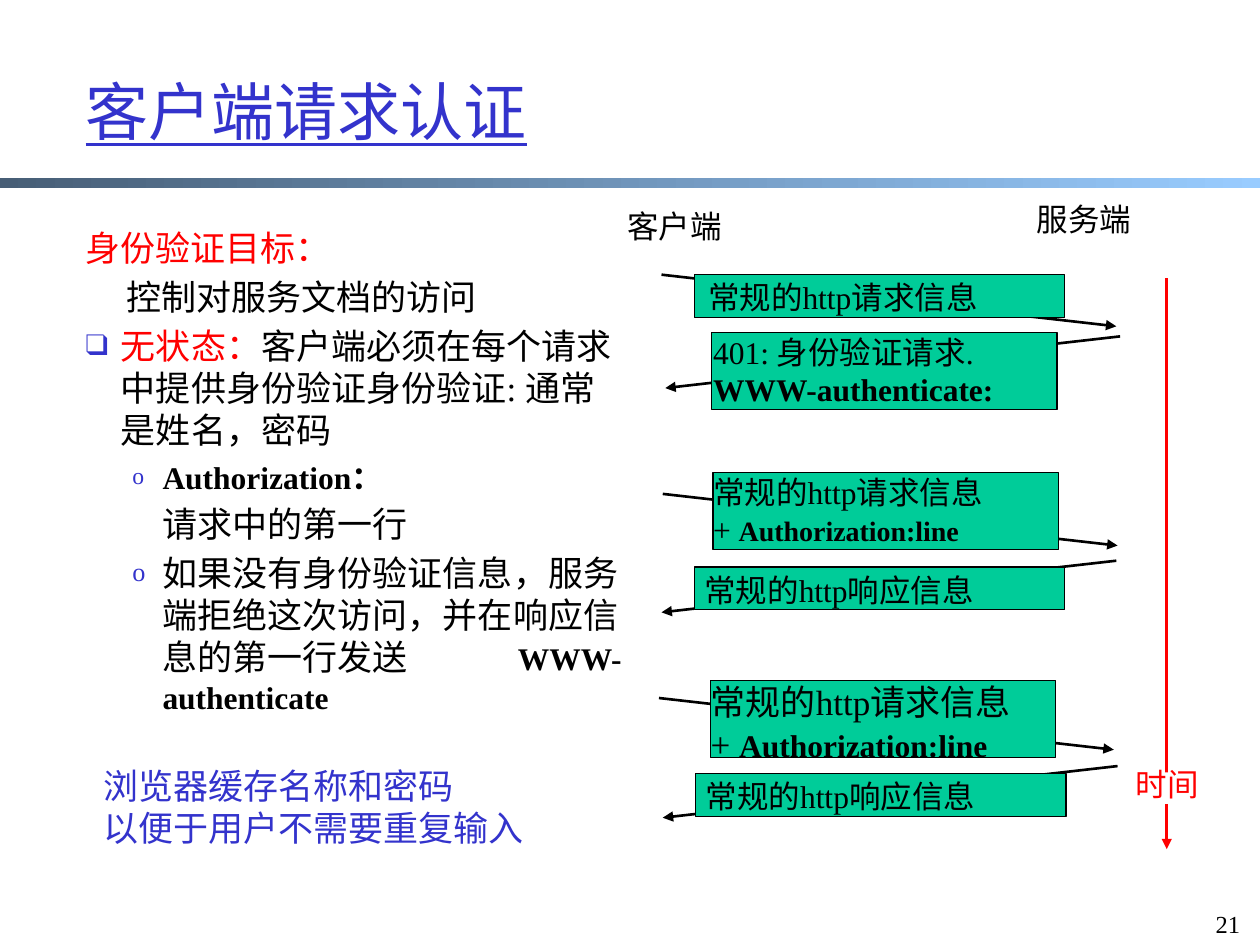
from lxml.etree import SubElement
from pptx import Presentation
from pptx.dml.color import RGBColor
from pptx.enum.shapes import MSO_CONNECTOR, MSO_SHAPE
from pptx.enum.text import MSO_ANCHOR, MSO_AUTO_SIZE, PP_ALIGN
from pptx.oxml.ns import qn
from pptx.util import Inches, Pt

HUES = {"black": "000000", "white": "FFFFFF", "blue": "3333CC", "red": "FF0000",
        "green": "00CC99", "dark": "475E76", "light": "99CCFF"}
SANS, SERIF = "Arial", "Times New Roman"
UNIT = 0.1  # the slide is a grid of 100 columns by 75 rows


def hue(name):
    return RGBColor.from_string(HUES[name])


def grid(*cells):
    return [Inches(cell * UNIT) for cell in cells]


def style(font, color="black", **look):
    font.color.rgb = hue(color)
    for key, value in look.items():
        setattr(font, key, value)


def setup(frame, pads=(1, 0.5, 1, 0.5), **look):
    sides = ("left", "top", "right", "bottom")
    values = {f"margin_{side}": pad for side, pad in zip(sides, grid(*pads))}
    values |= {"word_wrap": True, "auto_size": MSO_AUTO_SIZE.NONE,
               "vertical_anchor": MSO_ANCHOR.TOP} | look
    for key, value in values.items():
        setattr(frame, key, value)


def write(frame, lines, align=PP_ALIGN.LEFT):
    """Fill a frame; each line is a list of (text, look) runs."""
    for i, line in enumerate(lines):
        para = frame.add_paragraph() if i else frame.paragraphs[0]
        para.alignment = align
        for text, look in line:
            run = para.add_run()
            run.text = text
            style(run.font, **look)


def label(slide, box, lines, **look):
    frame = slide.shapes.add_textbox(*grid(*box)).text_frame
    setup(frame, **look)
    write(frame, lines)


def block(slide, box, fill, edge=None):
    shape = slide.shapes.add_shape(MSO_SHAPE.RECTANGLE, *grid(*box))
    shape.shadow.inherit = False
    shape.fill.solid()
    shape.fill.fore_color.rgb = hue(fill)
    if edge:
        shape.line.color.rgb = hue(edge)
        shape.line.width = Pt(0.75)
    else:
        shape.line.fill.background()
    return shape


def arrow(slide, start, end, color):
    link = slide.shapes.add_connector(MSO_CONNECTOR.STRAIGHT, *grid(*start, *end))
    link.line.color.rgb = hue(color)
    link.line.width = Pt(1.5)
    SubElement(link.line._get_or_add_ln(), qn("a:tailEnd"), type="triangle")
    SubElement(link._element.spPr, qn("a:effectLst"))


def bullet(para, left, hang, mark, size, tab):
    props = para._p.get_or_add_pPr()
    props.set("marL", str(Inches(left)))
    props.set("indent", str(Inches(-hang)))
    if mark:
        color = SubElement(props, qn("a:buClr"))
        SubElement(color, qn("a:srgbClr"), val=HUES["blue"])
        SubElement(props, qn("a:buSzPct"), val=str(size * 1000))
        SubElement(props, qn("a:buFont"), typeface=SERIF)
        SubElement(props, qn("a:buChar"), char=mark)
    else:
        SubElement(props, qn("a:buNone"))
    if tab:
        tabs = SubElement(props, qn("a:tabLst"))
        SubElement(tabs, qn("a:tab"), pos=str(Inches(tab)), algn="l")


def header(slide, box):
    x, y, wide, high = box
    # Gradient rule under the title
    bar = block(slide, (0, y + 11.6, 100, 0.8), "dark")
    bar.fill.gradient()
    bar.fill.gradient_angle = 0
    for stop, name, spot in zip(bar.fill.gradient_stops, ("dark", "light"), (0, 1)):
        stop.color.rgb = hue(name)
        stop.position = spot
    # Title
    title = slide.shapes.title
    title.left, title.top, title.width, title.height = grid(x, y, wide, high)
    setup(title.text_frame, vertical_anchor=MSO_ANCHOR.MIDDLE)
    look = dict(color="blue", name=SANS, size=Pt(36), underline=True)
    write(title.text_frame, [[("客户端请求认证", look)]])


def goals(slide, box):
    body = slide.placeholders[1]
    body.left, body.top, body.width, body.height = grid(*box)
    text = dict(name=SERIF, size=Pt(20))
    red = text | dict(color="red")
    bold = dict(name=SERIF, size=Pt(18), bold=True)
    # Level, left edge, hang, mark, mark size, tab, runs
    items = [
        (0, 0.28, 0.28, None, 0, 0, [("身份验证目标：", red)]),
        (0, 0.32, 0, None, 0, 0, [("控制对服务文档的访问", text)]),
        (0, 0.28, 0.28, "❑", 85, 0, [
            ("无状态：", red),
            ("客户端必须在每个请求中提供身份验证身份验证: 通常是姓名，密码", text)]),
        (1, 0.61, 0.24, "o", 75, 0, [("Authorization：", bold)]),
        (1, 0.61, 0, None, 0, 0, [("请求中的第一行", text)]),
        (1, 0.61, 0.24, "o", 75, 3.43, [
            ("如果没有身份验证信息，服务端拒绝这次访问，并在响应信息的第一行发送\t", text),
            ("WWW-authenticate", bold)]),
    ]
    setup(body.text_frame)
    write(body.text_frame, [item[-1] for item in items])
    for i, (para, item) in enumerate(zip(body.text_frame.paragraphs, items)):
        para.level = item[0]
        para.space_before = Pt(4 if i else 0)
        bullet(para, *item[1:-1])


def flow(slide, box):
    """Message exchange between the client and the server."""
    x, y, wide, high = box
    text = dict(name=SERIF, size=Pt(18))
    big = text | dict(size=Pt(20))
    bold = text | dict(bold=True)
    small = bold | dict(size=Pt(16))
    ask, reply = "常规的http请求信息", "常规的http响应信息"
    # Arrow left and top, to the server?, card left, top, text inset, lines
    steps = [
        (0.2, 0, True, 2.8, 0, 1.1, [[(ask, text)]]),
        (0.5, 4.9, False, 4.2, 4.6, 0.1,
         [[("401: 身份验证请求.", text)], [("WWW-authenticate:", bold)]]),
        (0.3, 17.4, True, 4.3, 15.7, 0,
         [[(ask, text)], [("+ ", text), ("Authorization:line", small)]]),
        (0.2, 22.7, False, 2.8, 23.2, 0.8, [[(reply, text)]]),
        (0, 33.6, True, 4.1, 32.2, 0,
         [[(ask, big)], [("+ ", big), ("Authorization:line", bold)]]),
        (0.3, 39, False, 2.9, 39.6, 0.8, [[(reply, text)]]),
    ]
    for dx, dy, sent, left, top, pad, lines in steps:
        near, far = x + dx, x + dx + 36.1
        ends = (near, far) if sent else (far, near)
        arrow(slide, (ends[0], y + dy), (ends[1], y + dy + 4.1), "black")
        pair = len(lines) == 2
        size = (27.4, 6.1) if pair else (29.4, 3.4)
        card = block(slide, (x + left, y + top, *size), "green", "black")
        setup(card.text_frame, pads=(pad, 0 if pair else 0.3, 0, 0))
        write(card.text_frame, lines)
    # Names of the two ends
    look = dict(name=SANS, size=Pt(18))
    for name, dx, dy in (("客户端", -3.5, -5.9), ("服务端", 29, -6.4)):
        label(slide, (x + dx, y + dy, 9.6, 4), [[(name, look)]], word_wrap=False)
    # Time axis
    axis = x + wide
    arrow(slide, (axis, y + 0.3), (axis, y + high), "red")
    tag = block(slide, (axis - 2.9, y + 39.5, 6.3, 2.5), "white")
    setup(tag.text_frame, pads=(0, 0, 0.4, 0.6), word_wrap=False,
          vertical_anchor=MSO_ANCHOR.MIDDLE)
    write(tag.text_frame, [[("时间", look | dict(color="red"))]], PP_ALIGN.CENTER)


def notice(slide, box):
    look = dict(color="blue", name=SANS, size=Pt(20))
    lines = ("浏览器缓存名称和密码", "以便于用户不需要重复输入")
    label(slide, box, [[(line, look)] for line in lines])


def number(slide, box):
    label(slide, box, [[("21", dict(name=SERIF, size=Pt(14)))]],
          vertical_anchor=MSO_ANCHOR.BOTTOM)


def main():
    deck = Presentation()
    deck.slide_width, deck.slide_height = grid(100, 75)
    slide = deck.slides.add_slide(deck.slide_layouts[1])
    header(slide, (5.8, 2.5, 85, 12.5))
    goals(slide, (5.8, 17.5, 44.7, 42.6))
    flow(slide, (52.3, 21.8, 40.3, 45.6))
    notice(slide, (7.2, 60.2, 35.9, 7.7))
    number(slide, (95.5, 70, 4.5, 5))
    deck.save("out.pptx")


if __name__ == "__main__":
    main()
